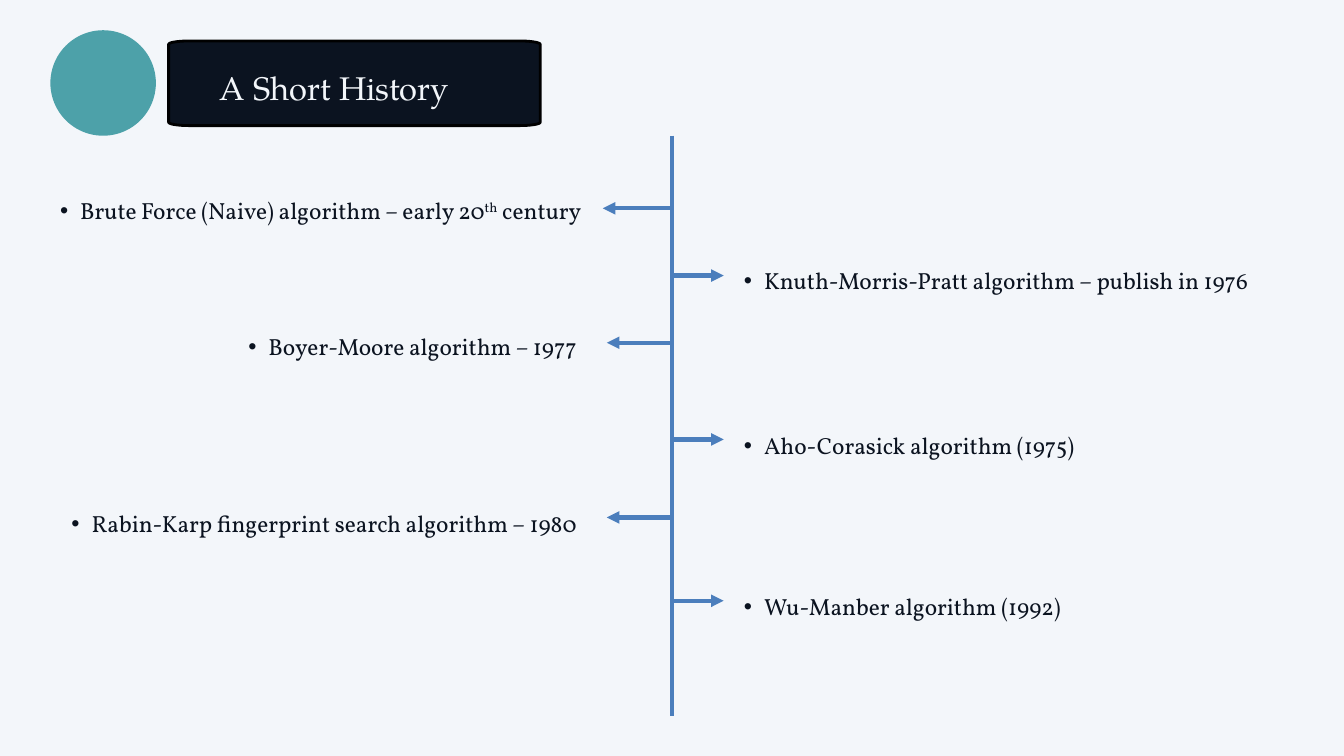
from dataclasses import dataclass
from math import cos, pi, sin

from lxml.etree import SubElement as Sub
from pptx import Presentation
from pptx.dml.color import RGBColor as Rgb
from pptx.enum.shapes import MSO_CONNECTOR as Conn, MSO_SHAPE as Shape
from pptx.enum.text import MSO_AUTO_SIZE as Fit, PP_ALIGN as Align
from pptx.oxml.ns import qn
from pptx.util import Inches, Pt


@dataclass(frozen=True)
class Theme:
    back: str = "F3F6FA"
    ink: str = "0B1320"
    edge: str = "000000"
    teal: str = "4DA1A9"
    blue: str = "4B7EBC"
    head: str = "TeX Gyre Pagella"
    body: str = "Vollkorn"
    big: int = 35
    mid: int = 25
    rule: float = 4.5
    rim: float = 3


T = Theme()
COLS, ROWS = 80, 45
CELL = Inches(20) / COLS

# Side, arrow row, text row, text width, arrow length, text parts (odd ones raised)
EVENTS = [
    ("left", 4.32, 2.92, 34.4, 4.12,
     ["Brute Force (Naive) algorithm – early 20", "th", " century"]),
    ("right", 8.32, 7.12, 35.36, 3.08,
     ["Knuth-Morris-Pratt algorithm – publish in 1976"]),
    ("left", 12.32, 11.04, 23, 3.88, ["Boyer-Moore algorithm – 1977 "]),
    ("right", 18.08, 16.92, 35.36, 3.08, ["Aho-Corasick algorithm (1975)"]),
    ("left", 22.72, 21.56, 33.76, 3.88,
     ["Rabin-Karp fingerprint search algorithm – 1980 "]),
    ("right", 27.68, 26.52, 35.36, 3.08, ["Wu-Manber algorithm (1992)"]),
]


def grid(*cells):
    return [round(c * CELL) for c in cells]


def paint(shape, fill, line=None):
    shape.shadow.inherit = False
    shape.fill.solid()
    shape.fill.fore_color.rgb = Rgb.from_string(fill)
    if line:
        shape.line.color.rgb = Rgb.from_string(line)
        shape.line.width = Pt(T.rim)
    else:
        shape.line.fill.background()


def write(slide, box, parts, face, size, color, space):
    """Add a text box of one paragraph; every second part is raised."""
    area = slide.shapes.add_textbox(*grid(*box))
    frame = area.text_frame
    frame.margin_left = frame.margin_right = 0
    frame.margin_top = frame.margin_bottom = 0
    frame.word_wrap = True
    frame.auto_size = Fit.SHAPE_TO_FIT_TEXT
    para = frame.paragraphs[0]
    para.line_spacing = space
    for i, part in enumerate(parts):
        run = para.add_run()
        run.text = part
        run.font.name = face
        run.font.size = Pt(size)
        run.font.color.rgb = Rgb.from_string(color)
        if i % 2:
            run.font._element.set("baseline", "30000")
    return para


def dot(para):
    """Give a paragraph a hanging bullet."""
    para.level = 1
    props = para._p.get_or_add_pPr()
    props.set("marL", str(Inches(0.59)))
    props.set("indent", str(Inches(-0.3)))
    Sub(Sub(props, qn("a:buClr")), qn("a:srgbClr")).set("val", T.ink)
    Sub(props, qn("a:buFont")).set("typeface", "Arial")
    Sub(props, qn("a:buChar")).set("char", "•")


def rule(slide, start, end, arrow=False):
    line = slide.shapes.add_connector(Conn.STRAIGHT, *grid(*start, *end))
    line.line.color.rgb = Rgb.from_string(T.blue)
    line.line.width = Pt(T.rule)
    if arrow:
        Sub(line.line._get_or_add_ln(), qn("a:tailEnd")).set("type", "triangle")
    Sub(line._element.spPr, qn("a:effectLst"))


def plaque(slide, x, y, w, h):
    """Draw a panel with wide, flat rounded corners."""
    rx, ry, steps = 1.24, 0.2, 8
    hubs = [(x + w - rx, y + h - ry), (x + rx, y + h - ry),
            (x + rx, y + ry), (x + w - rx, y + ry)]
    dots = []
    for k, (cx, cy) in enumerate(hubs):
        for s in range(steps + 1):
            turn = (k + s / steps) * pi / 2
            dots.append(grid(cx + rx * cos(turn), cy + ry * sin(turn)))
    path = slide.shapes.build_freeform(*dots[0])
    path.add_line_segments(dots[1:], close=True)
    paint(path.convert_to_shape(), T.ink, T.edge)


def header(slide, box, title):
    x, y, w, h = box
    disc = slide.shapes.add_shape(Shape.OVAL, *grid(x, y, h, h))
    paint(disc, T.teal)
    left = h + 0.76
    plaque(slide, x + left, y + 0.64, w - left, h - 1.24)
    write(slide, (x + left + 3.04, y + 1.52, 15.84, 3.08), [title],
          T.head, T.big, T.back, 1.3)


def timeline(slide, box, events):
    x, y, w, h = box
    axis = x + w / 2
    # Event texts
    for side, _, row, wide, _, parts in events:
        left = axis - 5.4 - wide if side == "left" else axis + 3.12
        para = write(slide, (left, y + row, wide, 2.36), parts,
                     T.body, T.mid, T.ink, 1.4)
        dot(para)
        if side == "left":
            para.alignment = Align.RIGHT
    # Axis and arrows
    rule(slide, (axis, y), (axis, y + h))
    for side, row, _, _, reach, _ in events:
        tip = axis - reach if side == "left" else axis + reach
        rule(slide, (axis, y + row), (tip, y + row), arrow=True)


def main():
    deck = Presentation()
    deck.slide_width, deck.slide_height = grid(COLS, ROWS)
    slide = deck.slides.add_slide(deck.slide_layouts[6])
    fill = slide.background.fill
    fill.solid()
    fill.fore_color.rgb = Rgb.from_string(T.back)
    header(slide, (3, 1.8, 29.16, 6.28), "A Short History")
    timeline(slide, (0, 8.08, COLS, 34.56), EVENTS)
    deck.save("out.pptx")


if __name__ == "__main__":
    main()
